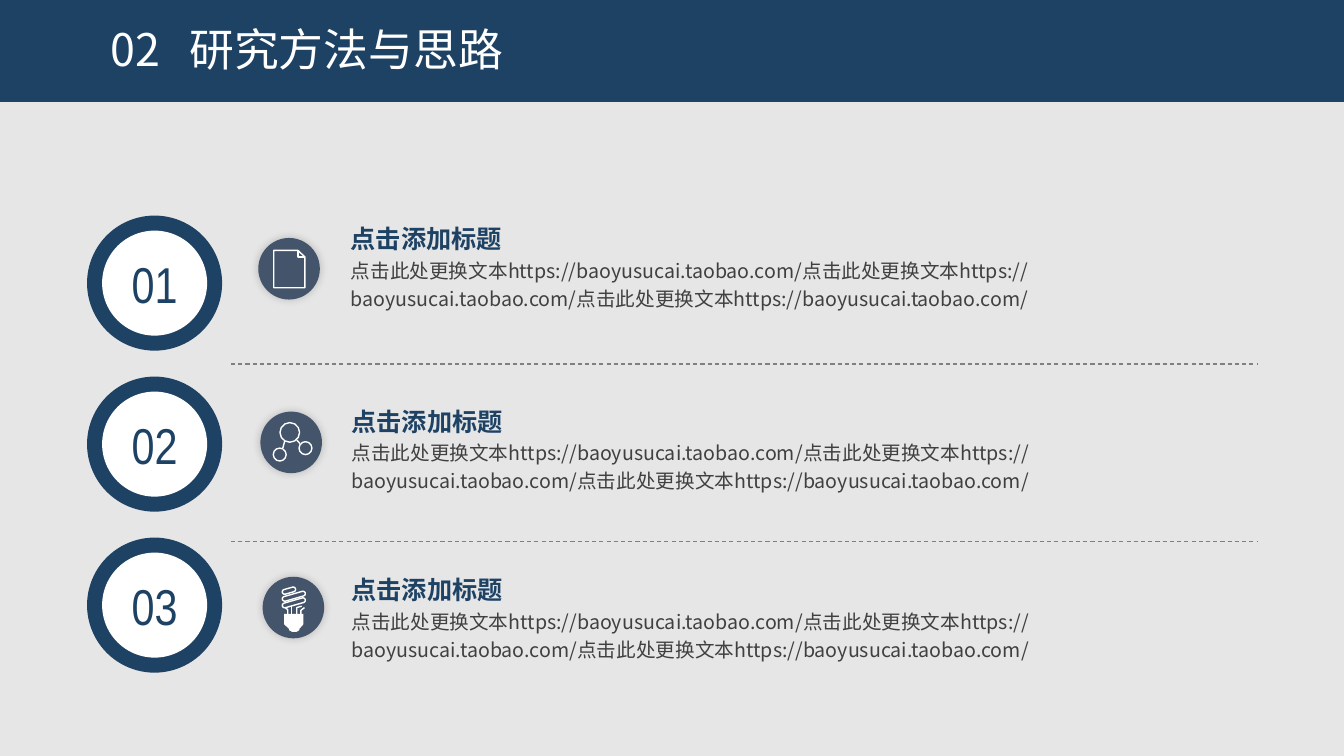
from lxml.etree import SubElement as sub
from pptx import Presentation
from pptx.dml.color import RGBColor
from pptx.enum.dml import MSO_LINE as Dash
from pptx.enum.shapes import MSO_CONNECTOR as Link, MSO_SHAPE as Kind
from pptx.enum.text import MSO_ANCHOR as Anchor, MSO_AUTO_SIZE as Auto, PP_ALIGN as Align
from pptx.oxml.ns import qn
from pptx.util import Pt

hue = RGBColor.from_string
NAVY, SLATE, WHITE = "1E4264", "44546A", "FFFFFF"
SANS = "Noto Sans CJK SC"
LINK = "点击此处更换文本https://baoyusucai.taobao.com/"

HEAD = {"name": SANS, "size": Pt(32), "bold": False, "color": WHITE}
LEAD = {"name": SANS, "size": Pt(18), "bold": True, "color": NAVY}
BODY = {"name": SANS, "size": Pt(14), "bold": False, "color": "404040"}
COUNT = {"name": "Arial Narrow", "size": Pt(36), "bold": False, "color": NAVY}


def paint(shape, fill=None, line=None):
    """Set fill and 1 pt line; None leaves either one empty."""
    shape.shadow.inherit = False
    if fill:
        shape.fill.solid()
        shape.fill.fore_color.rgb = hue(fill)
    else:
        shape.fill.background()
    if line:
        shape.line.color.rgb = hue(line)
        shape.line.width = Pt(1)
    else:
        shape.line.fill.background()
    return shape


def write(para, text, look):
    """Add a run whose font, Latin and East Asian, follows the look."""
    run = para.add_run()
    run.text = text
    for key, val in look.items():
        if key == "color":
            run.font.color.rgb = hue(val)
        else:
            setattr(run.font, key, val)
    sub(run._r.get_or_add_rPr(), qn("a:ea"), typeface=look["name"])


deck = Presentation()
deck.slide_width, deck.slide_height = Pt(960), Pt(540)
slide = deck.slides.add_slide(deck.slide_layouts[5])
slide.background.fill.solid()
slide.background.fill.fore_color.rgb = hue("E7E6E6")
shapes = slide.shapes

# Title band
title = shapes.title
band = paint(shapes.add_shape(Kind.RECTANGLE, 0, 0, Pt(960), Pt(72.7)), NAVY)
title.element.addprevious(band.element)
title.left, title.top, title.width, title.height = Pt(72), Pt(20), Pt(435), Pt(52)
frame = title.text_frame
frame.auto_size, frame.vertical_anchor = Auto.NONE, Anchor.TOP
frame.margin_left, frame.margin_top = Pt(7.2), 0
para = frame.paragraphs[0]
para.alignment, para.line_spacing = Align.LEFT, 0.9
tabs = sub(para._p.get_or_add_pPr(), qn("a:tabLst"))
sub(tabs, qn("a:tab"), pos=str(Pt(56)), algn="l")
write(para, "02\t研究方法与思路", HEAD)

# Text blocks: left, top, width
for left, top, wide in ((243.5, 156.2, 623.5), (244, 286.6, 614), (244, 406.8, 614)):
    box = shapes.add_textbox(Pt(left), Pt(top), Pt(wide), Pt(70))
    frame = box.text_frame
    frame.word_wrap, frame.auto_size = True, Auto.SHAPE_TO_FIT_TEXT
    write(frame.paragraphs[0], "点击添加标题", LEAD)
    para = frame.add_paragraph()
    para.line_spacing = 1.2
    write(para, LINK * 3, BODY)

# Dashed dividers
for y in (260, 386.6):
    rule = shapes.add_connector(Link.STRAIGHT, Pt(165), Pt(y), Pt(898), Pt(y))
    rule.line.color.rgb = hue("808080")
    rule.line.width, rule.line.dash_style = Pt(0.75), Dash.DASH
    sub(rule._element.spPr, qn("a:effectLst"))

# Icon discs with a soft shadow
for left, top in ((184.5, 170), (186, 294), (187.6, 412)):
    disc = paint(shapes.add_shape(Kind.OVAL, Pt(left), Pt(top), Pt(44), Pt(44)), SLATE)
    glow = sub(disc._element.spPr.find(qn("a:effectLst")), qn("a:outerShdw"),
               blurRad=str(Pt(6)), dist="0", dir="13500000", rotWithShape="0")
    tint = sub(glow, qn("a:srgbClr"), val="000000")
    sub(tint, qn("a:alpha"), val="20000")

# Icon outlines: points, closed, fill
page = [(195.5, 178.9), (212.8, 178.9), (217.8, 183.6), (217.8, 205.6), (195.5, 205.6)]
fold = [(212.8, 178.9), (212.8, 183.6), (217.8, 183.6)]
bonds = [[(203.4, 315), (202, 320.1)], [(212, 314.3), (214.2, 316.8)]]
tubes = [[(203.5, 433.8), (205.6, 435.6), (205.6, 438.5)],
         [(208.4, 433), (208.4, 438.5)],
         [(212, 438.5), (212, 434), (215.5, 433)],
         [(214.9, 438.5), (214.9, 436), (217.5, 434)]]
base = [(203, 438.5), (216.7, 438.5), (216.7, 446), (213.8, 449.3), (213.8, 450.2),
        (211.7, 451.4), (208.8, 451.4), (206.6, 450.2), (206.6, 449.3), (203, 446)]
paths = [(page, True, None), (base, True, WHITE)]
paths += [(dots, False, None) for dots in [fold, *bonds, *tubes]]
for dots, shut, fill in paths:
    first, *rest = [(Pt(x), Pt(y)) for x, y in dots]
    pen = shapes.build_freeform(*first)
    pen.add_line_segments(rest, close=shut)
    paint(pen.convert_to_shape(), fill, None if fill else WHITE)

# Molecule atoms and bulb coils: kind, centre, size, turn
for kind, x, y, wide, high, turn in (
    (Kind.OVAL, 207, 308.9, 14, 14, 0),
    (Kind.OVAL, 199.8, 324.7, 9.2, 9.2, 0),
    (Kind.OVAL, 218.2, 320.1, 9.2, 9.2, 0),
    (Kind.ROUNDED_RECTANGLE, 206.4, 421.9, 9.8, 3.4, -16),
    (Kind.ROUNDED_RECTANGLE, 209.9, 425.9, 17, 3.4, -16),
    (Kind.ROUNDED_RECTANGLE, 209.9, 430.6, 17, 3.4, -16),
):
    part = shapes.add_shape(kind, Pt(x - wide / 2), Pt(y - high / 2), Pt(wide), Pt(high))
    part.rotation = turn
    if kind == Kind.ROUNDED_RECTANGLE:
        part.adjustments[0] = 0.5
    paint(part, None, WHITE)

# Numbered rings
for i in range(3):
    left, top = 62.2, 154 + 115 * i
    ring = paint(shapes.add_shape(Kind.DONUT, Pt(left), Pt(top), Pt(96.5), Pt(96.5)), NAVY)
    ring.adjustments[0] = 0.12
    core = paint(shapes.add_shape(Kind.OVAL, Pt(left + 10.75), Pt(top + 10.75), Pt(75), Pt(75)), WHITE)
    frame = core.text_frame
    frame.vertical_anchor = Anchor.MIDDLE
    para = frame.paragraphs[0]
    para.alignment = Align.CENTER
    write(para, f"{i + 1:02}", COUNT)

deck.save("out.pptx")
